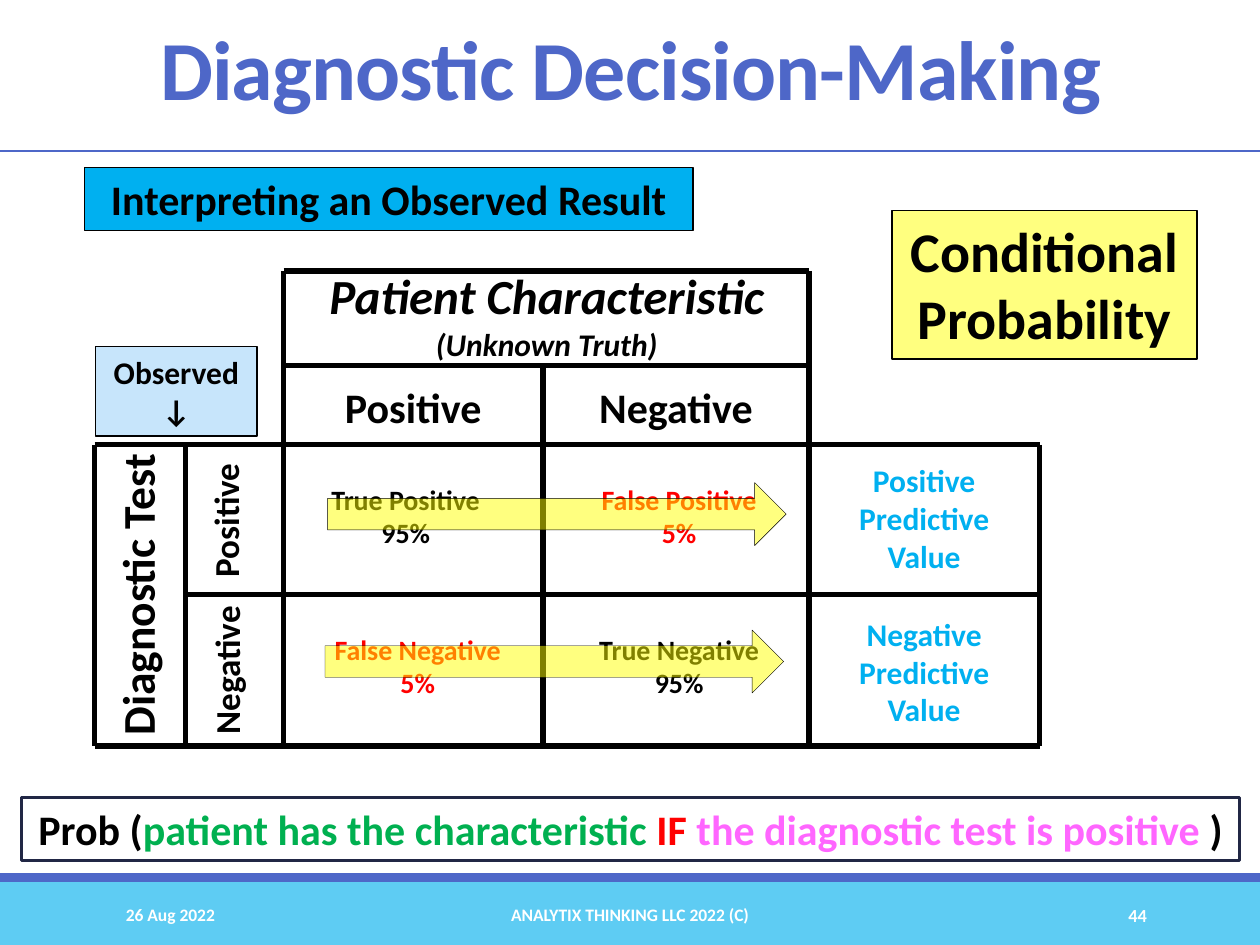
from pptx import Presentation
from pptx.dml.color import RGBColor
from pptx.enum.shapes import MSO_CONNECTOR as Conn, MSO_SHAPE as Shape
from pptx.enum.text import MSO_ANCHOR as Anchor, MSO_AUTO_SIZE as Auto, PP_ALIGN as Align
from pptx.oxml.ns import qn
from pptx.util import Inches, Pt
from lxml.etree import SubElement

HUES = {
    "black": "000000", "white": "FFFFFF", "red": "FF0000", "green": "00B050",
    "pink": "FF66FF", "cyan": "00B0F0", "yellow": "FFFF00", "pale": "C7E5FB",
    "navy": "212745", "blue": "4E67C8", "sky": "5ECCF3",
}
TITLE = "Diagnostic Decision-Making"
BANDS = [("sky", 7, 0.5), ("blue", 6.93, 0.07)]

COLS = [0.75, 1.47, 2.25, 4.31, 6.42, 8.25]
ROWS = [2.15, 2.9, 3.53, 4.72, 5.92]
ACROSS = [(0, 2, 4), (1, 2, 4), (2, 0, 5), (3, 1, 5), (4, 0, 5)]
DOWN = [(0, 2, 4), (1, 2, 4), (2, 0, 4), (3, 1, 4), (4, 0, 4), (5, 2, 4)]

CELLS = [
    ("True Positive\n95%", 2.47, 2, 1.5, "black"),
    ("False Positive\n5%", 4.64, 2, 1.5, "red"),
    ("False Negative\n5%", 2.47, 3, 1.69, "red"),
    ("True Negative\n95%", 4.64, 3, 1.5, "black"),
]
HEADS = [
    ("Positive", 2.25, 2.98, 2.06, 0.5, 24, "black"),
    ("Negative", 4.2, 2.98, 2.33, 0.5, 24, "black"),
    ("Positive Predictive Value", 6.42, 3.61, 1.83, 1.01, 18, "cyan"),
    ("Negative Predictive Value", 6.42, 4.83, 1.83, 1.01, 18, "cyan"),
]
SIDES = [
    ("Diagnostic Test", -0.23, 4.45, 2.64, 0.54, 26),
    ("Positive", 0.94, 3.91, 1.7, 0.44, 20),
    ("Negative", 0.95, 5.1, 1.7, 0.44, 20),
]
ARROWS = [(4.17, 2.26), (4.15, 3.43)]
BOXES = [
    ("Conditional Probability", 7.08, 1.67, 2.42, 1.18, 32, "yellow", 50),
    ("Interpreting an Observed Result", 0.67, 1.33, 4.83, 0.5, 24, "cyan", 100),
    ("Observed\n↓", 0.76, 2.75, 1.28, 0.71, 18, "pale", 100),
]
PROB = [
    ("Prob (", "black"), ("patient has the characteristic ", "green"),
    ("IF ", "red"), ("the diagnostic test is positive ", "pink"), (")", "black"),
]
FOOT = [
    ("26 Aug 2022", 0.9, 2.03, 10, Align.LEFT),
    ("ANALYTIX THINKING LLC 2022 (C)", 3.02, 3.96, 10, Align.CENTER),
    ("44", 8.12, 1.08, 10.5, Align.RIGHT),
]


def rgb(hue):
    return RGBColor.from_string(HUES[hue])


def style(run, size, hue):
    font = run.font
    font.name, font.size, font.bold = "Calibri", Pt(size), True
    font.color.rgb = rgb(hue)


def write(shape, text, size, hue="black", align=Align.CENTER, anchor=Anchor.TOP):
    frame = shape.text_frame
    frame.text = text
    frame.word_wrap, frame.auto_size = True, Auto.NONE
    frame.vertical_anchor = anchor
    for para in frame.paragraphs:
        para.alignment = align
        for run in para.runs:
            style(run, size, hue)
    return frame


def label(slide, text, x, y, w, h, size, hue="black", **look):
    box = slide.shapes.add_textbox(*map(Inches, (x, y, w, h)))
    write(box, text, size, hue, **look)
    return box


def block(slide, kind, x, y, w, h, fill, edge=None, width=0.75, alpha=100):
    shape = slide.shapes.add_shape(kind, *map(Inches, (x, y, w, h)))
    shape.shadow.inherit = False
    shape.fill.solid()
    shape.fill.fore_color.rgb = rgb(fill)
    if alpha < 100:
        color = next(shape._element.spPr.iter(qn("a:srgbClr")))
        SubElement(color, qn("a:alpha")).set("val", str(alpha * 1000))
    if edge:
        shape.line.color.rgb = rgb(edge)
        shape.line.width = Pt(width)
    else:
        shape.line.fill.background()
    return shape


def rule(slide, x1, y1, x2, y2, hue="black", width=3):
    line = slide.shapes.add_connector(Conn.STRAIGHT, *map(Inches, (x1, y1, x2, y2)))
    line.line.color.rgb = rgb(hue)
    line.line.width = Pt(width)
    SubElement(line._element.spPr, qn("a:effectLst"))


def draw_title(slide):
    title = slide.shapes.title
    title.left, title.top, title.width, title.height = map(Inches, (0.88, 0.16, 8.25, 0.86))
    para = write(title, TITLE, 48, "blue", anchor=Anchor.MIDDLE).paragraphs[0]
    para.line_spacing = 0.85
    para.runs[0]._r.get_or_add_rPr().set("spc", "-50")
    rule(slide, 0, 1.2, 10, 1.2, "blue", 1)


def draw_grid(slide):
    for row, start, end in ACROSS:
        rule(slide, COLS[start], ROWS[row], COLS[end], ROWS[row])
    for col, start, end in DOWN:
        rule(slide, COLS[col], ROWS[start], COLS[col], ROWS[end])
    for text, x, row, w, hue in CELLS:
        label(slide, text, x, ROWS[row] + 0.25, w, 0.64, 16, hue)
    for head in HEADS:
        label(slide, *head)
    for side in SIDES:
        label(slide, *side).rotation = 270
    top = label(slide, "Patient Characteristic\n(Unknown Truth)", 2.31, 2.06, 4.06, 0.91, 28)
    for para, size in zip(top.text_frame.paragraphs, (28, 18)):
        para.runs[0].font.size = Pt(size)
        para.runs[0].font.italic = True


def draw_boxes(slide):
    for x, y in ARROWS:
        arrow = block(slide, Shape.DOWN_ARROW, x, y, 0.5, 3.64, "yellow", "black", 0.25, 50)
        arrow.rotation = 270
    for text, x, y, w, h, size, fill, alpha in BOXES:
        box = block(slide, Shape.RECTANGLE, x, y, w, h, fill, "black", alpha=alpha)
        write(box, text, size)
    prob = block(slide, Shape.RECTANGLE, 0.17, 6.33, 9.67, 0.5, "white", "navy", 1.5, 50)
    para = write(prob, "", 24).paragraphs[0]
    for text, hue in PROB:
        run = para.add_run()
        run.text = text
        style(run, 24, hue)


def main():
    """Build the diagnostic decision slide."""
    deck = Presentation()
    deck.slide_width, deck.slide_height = Inches(10), Inches(7.5)
    slide = deck.slides.add_slide(deck.slide_layouts[5])
    for fill, y, h in BANDS:
        block(slide, Shape.RECTANGLE, 0, y, 10, h, fill)
    draw_title(slide)
    draw_grid(slide)
    draw_boxes(slide)
    for text, x, w, size, align in FOOT:
        label(slide, text, x, 7.06, w, 0.4, size, "white", align=align, anchor=Anchor.MIDDLE)
    deck.save("out.pptx")


if __name__ == "__main__":
    main()
